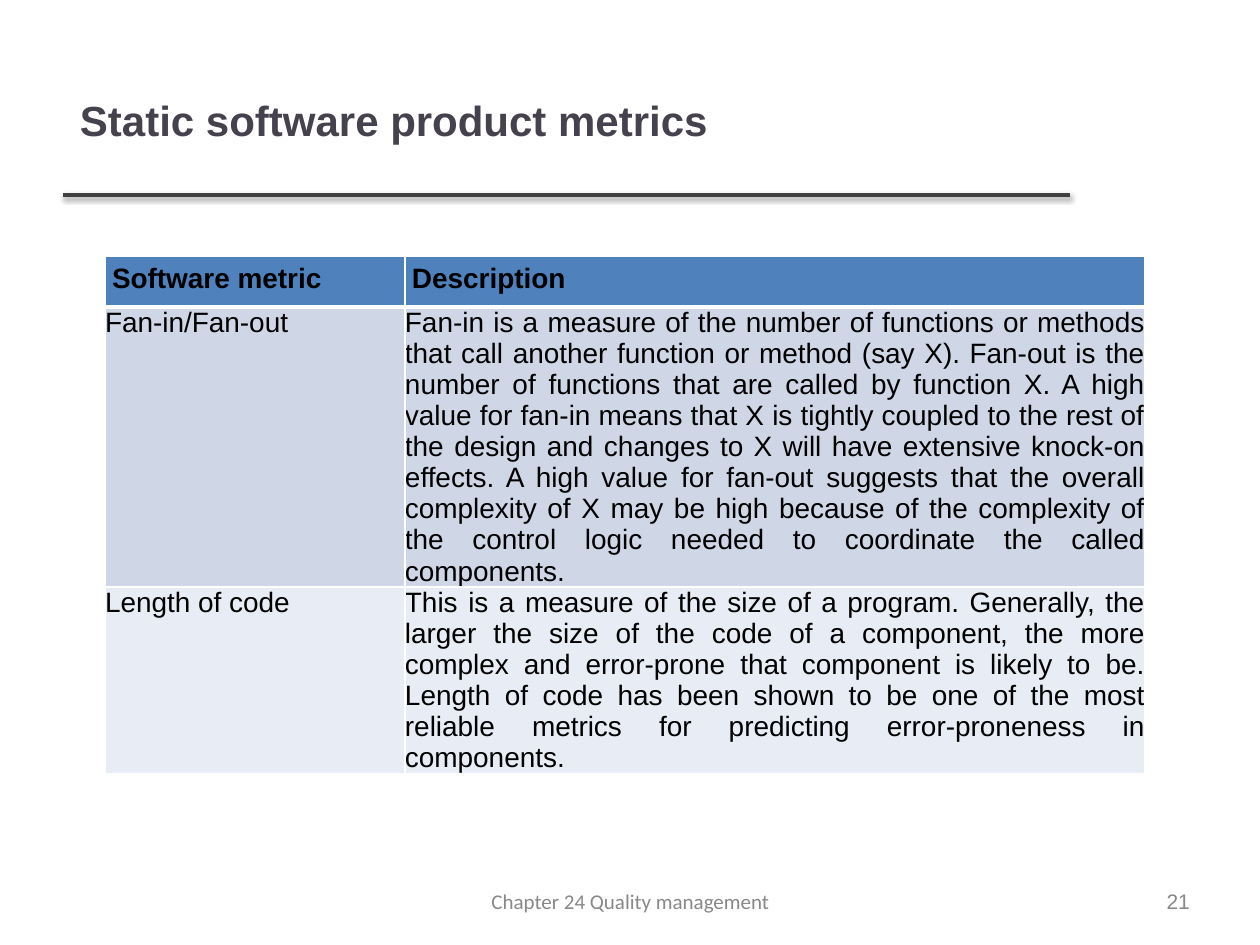
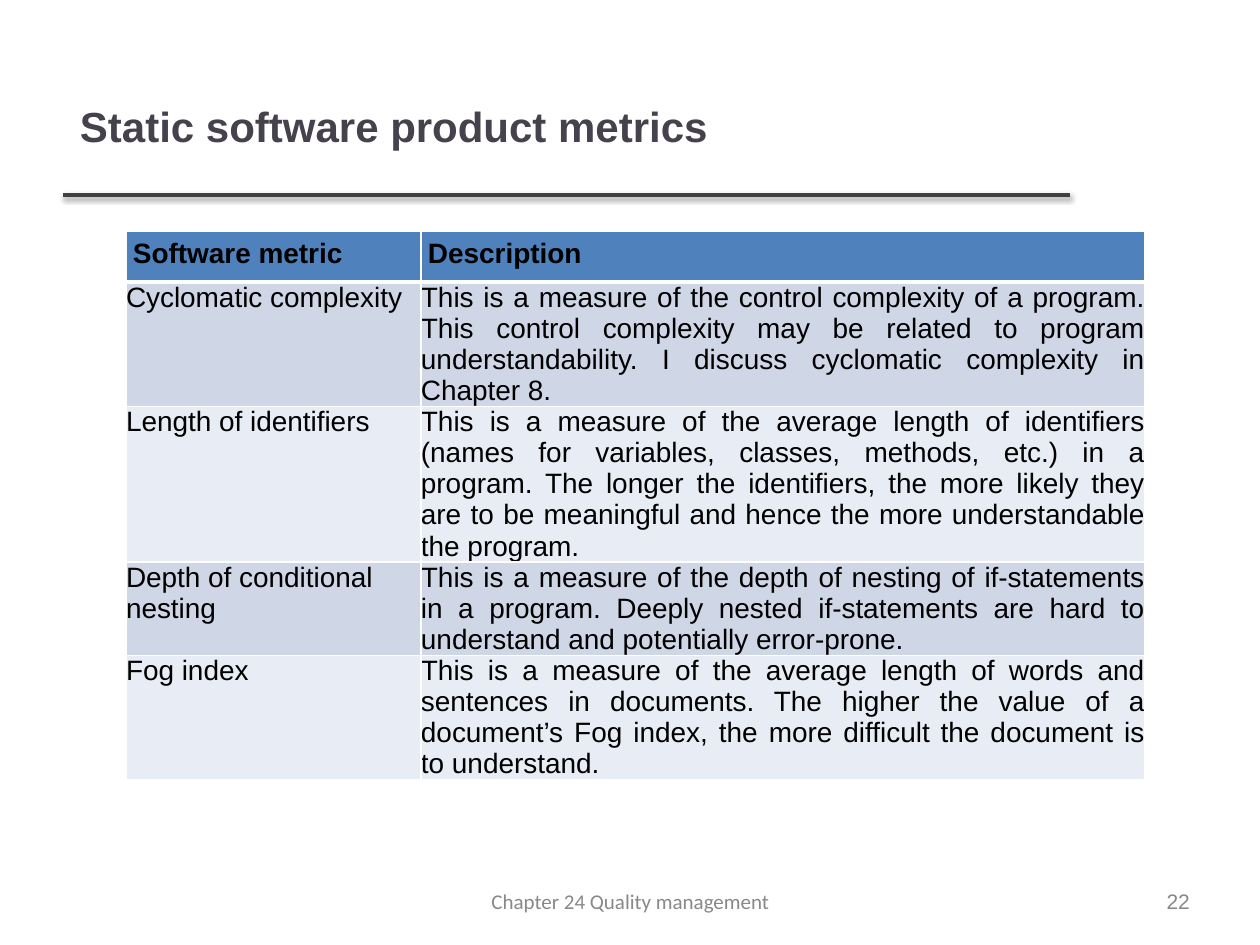
from lxml import etree
from pptx import Presentation
from pptx.dml.color import RGBColor as Rgb
from pptx.enum.shapes import MSO_CONNECTOR as Conn
from pptx.enum.text import MSO_ANCHOR as Anchor, MSO_AUTO_SIZE as Auto, PP_ALIGN as Align
from pptx.oxml import parse_xml
from pptx.oxml.ns import nsdecls, qn
from pptx.util import Emu, Pt

DPI = 126
INK = {
    "title": "46424D", "rule": "404040", "foot": "888888", "text": "000000",
    "head": "4F81BD", "odd": "CFD7E7", "even": "E8ECF4", "edge": "FFFFFF",
    "shade": "000000",
}
ROW = 51    # least row height, rows grow with their text
PAD = 6     # inset of text boxes
INSET = 7   # inset of header cells


def px(n):
    return Emu(round(n * 914400 / DPI))


class Deck:
    def __init__(self):
        self.prs = Presentation()
        self.prs.slide_width, self.prs.slide_height = px(1260), px(945)
        self.slide = None

    def add(self):
        self.slide = self.prs.slides.add_slide(self.prs.slide_layouts[6])

    def run(self, para, text, size, ink, face="Arial", bold=False):
        run = para.add_run()
        run.text = text
        font = run.font
        font.size, font.name, font.bold = Pt(size), face, bold
        font.color.rgb = Rgb.from_string(INK[ink])

    def text(self, box, text, size, ink, align=Align.LEFT, **look):
        frame = self.slide.shapes.add_textbox(*map(px, box)).text_frame
        frame.word_wrap = True
        frame.auto_size = Auto.NONE
        frame.vertical_anchor = Anchor.MIDDLE
        frame.margin_left = frame.margin_right = px(PAD)
        frame.margin_top = frame.margin_bottom = px(PAD)
        para = frame.paragraphs[0]
        para.alignment = align
        self.run(para, text, size, ink, **look)

    def rule(self, x1, x2, y):
        line = self.slide.shapes.add_connector(Conn.STRAIGHT, px(x1), px(y), px(x2), px(y))
        line.line.width = Pt(2)
        line.line.color.rgb = Rgb.from_string(INK["rule"])
        line._element.spPr.append(parse_xml(
            f'<a:effectLst {nsdecls("a")}>'
            f'<a:outerShdw blurRad="{Pt(3)}" dist="{Pt(1.6)}" dir="5400000" rotWithShape="0">'
            f'<a:srgbClr val="{INK["shade"]}"><a:alpha val="38000"/></a:srgbClr>'
            '</a:outerShdw></a:effectLst>'))

    def edges(self, cell, **width):
        props = cell._tc.get_or_add_tcPr()
        for at, side in enumerate("LRTB"):
            line = etree.Element(qn(f"a:ln{side}"), w=str(Pt(width.get(side, 1))))
            fill = etree.SubElement(line, qn("a:solidFill"))
            etree.SubElement(fill, qn("a:srgbClr"), val=INK["edge"])
            props.insert(at, line)

    def cell(self, cell, text, row, col):
        head = row == 0
        tone = "head" if head else ("even", "odd")[row % 2]
        cell.fill.solid()
        cell.fill.fore_color.rgb = Rgb.from_string(INK[tone])
        gap = px(INSET if head else 0)
        cell.margin_left = cell.margin_right = gap
        cell.margin_top = cell.margin_bottom = gap
        para = cell.text_frame.paragraphs[0]
        para.alignment = Align.JUSTIFY if head or col else Align.LEFT
        self.run(para, text, 16, "text", bold=head)
        # Thick edge between header and body
        self.edges(cell, T=3 if row == 1 else 1, B=3 if head else 1)

    def table(self, x, y, cols, rows):
        rows = [("Software metric", "Description"), *rows]
        box = map(px, (x, y, sum(cols), ROW * len(rows)))
        grid = self.slide.shapes.add_table(len(rows), len(cols), *box).table
        for col, wide in zip(grid.columns, cols):
            col.width = px(wide)
        for r, texts in enumerate(rows):
            grid.rows[r].height = px(ROW)
            for c, text in enumerate(texts):
                self.cell(grid.cell(r, c), text, r, c)

    def page(self, num, title, high):
        self.add()
        self.rule(63, 1070, 195)
        self.text((437, 884, 387, 34), "Chapter 24 Quality management", 12, "foot",
                  Align.CENTER, face="Calibri")
        self.text((74, 52, 998, high), title, 24, "title", bold=True)
        self.text((1136, 884, 60, 34), str(num), 12, "foot", Align.RIGHT)


def main():
    deck = Deck()
    title = "Static software product metrics"

    # Fan-in and code length
    deck.page(21, title, 136)
    deck.table(105, 256, (300, 740), [
        ("Fan-in/Fan-out",
         "Fan-in is a measure of the number of functions or methods that call another "
         "function or method (say X). Fan-out is the number of functions that are called "
         "by function X. A high value for fan-in means that X is tightly coupled to the "
         "rest of the design and changes to X will have extensive knock-on effects. A high "
         "value for fan-out suggests that the overall complexity of X may be high because "
         "of the complexity of the control logic needed to coordinate the called components."),
        ("Length of code",
         "This is a measure of the size of a program. Generally, the larger the size of the "
         "code of a component, the more complex and error-prone that component is likely to "
         "be. Length of code has been shown to be one of the most reliable metrics for "
         "predicting error-proneness in components."),
    ])

    # Complexity and readability
    deck.page(22, title, 147)
    deck.table(126, 231, (295, 724), [
        ("Cyclomatic complexity",
         "This is a measure of the control complexity of a program. This control complexity "
         "may be related to program understandability. I discuss cyclomatic complexity in "
         "Chapter 8."),
        ("Length of identifiers",
         "This is a measure of the average length of identifiers (names for variables, "
         "classes, methods, etc.) in a program. The longer the identifiers, the more likely "
         "they are to be meaningful and hence the more understandable the program."),
        ("Depth of conditional nesting",
         "This is a measure of the depth of nesting of if-statements in a program. Deeply "
         "nested if-statements are hard to understand and potentially error-prone."),
        ("Fog index",
         "This is a measure of the average length of words and sentences in documents. The "
         "higher the value of a document’s Fog index, the more difficult the document is to "
         "understand."),
    ])

    deck.prs.save("out.pptx")


if __name__ == "__main__":
    main()
